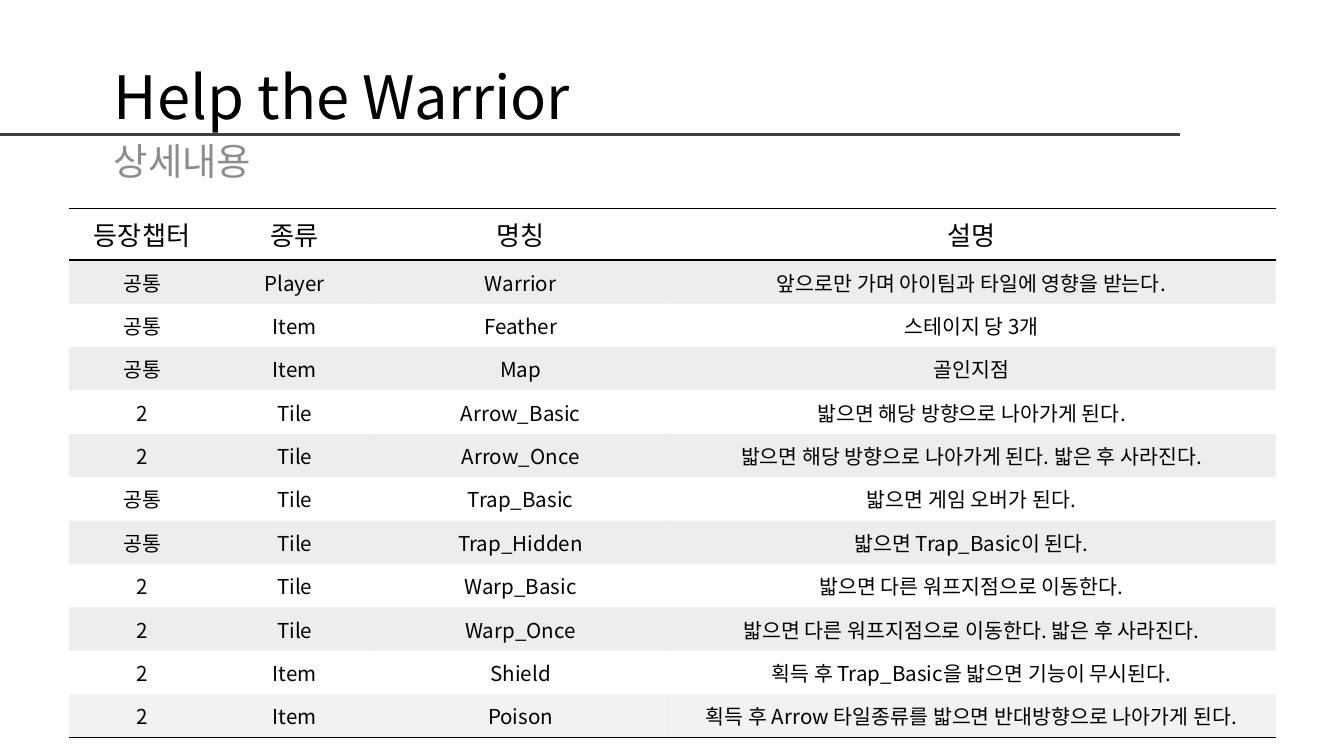
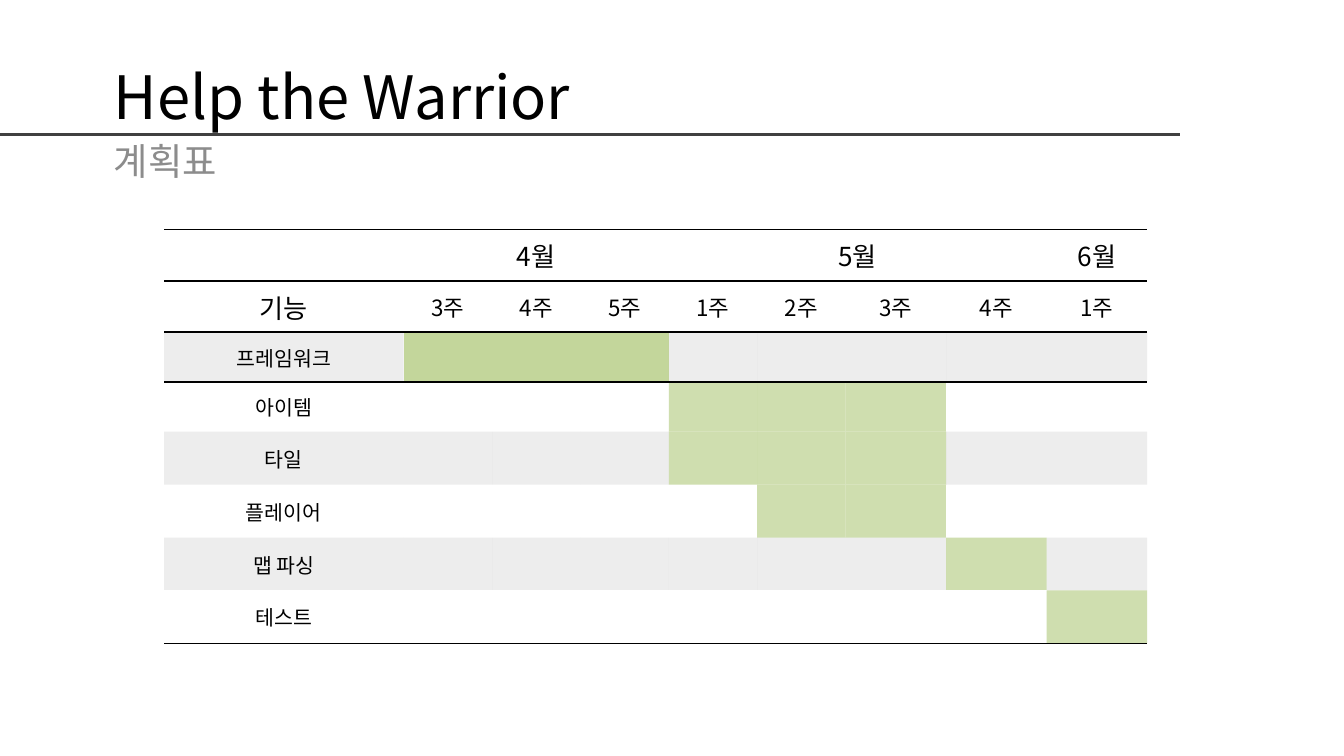
from dataclasses import dataclass
from itertools import accumulate

from lxml.etree import SubElement
from pptx import Presentation
from pptx.dml.color import RGBColor
from pptx.enum.shapes import MSO_CONNECTOR as Connector
from pptx.enum.text import MSO_ANCHOR as Anchor, PP_ALIGN as Align
from pptx.oxml.ns import qn
from pptx.util import Cm, Pt


@dataclass(frozen=True)
class Theme:
    """Colours, font and type sizes shared by the slides."""
    font: str = "Noto Sans CJK KR"
    ink: str = "000000"
    muted: str = "8C8C8C"
    rule: str = "404040"
    paper: str = "FFFFFF"
    band: str = "A6A6A6"
    last_band: str = "BFBFBF"
    bar: str = "C3D69B"
    band_alpha: int = 20
    bar_alpha: int = 80
    title_size: int = 32
    subtitle_size: int = 20
    head_size: int = 14
    week_size: int = 12
    body_size: int = 11
    rule_width: float = 1.5
    border_width: float = 1
    plain_table: str = "{2D5ABB26-0587-4C30-8999-92F81FD0307C}"


THEME = Theme()

DETAIL_HEAD = ("등장챕터", "종류", "명칭", "설명")
DETAILS = (
    ("공통", "Player", "Warrior", "앞으로만 가며 아이팀과 타일에 영향을 받는다."),
    ("공통", "Item", "Feather", "스테이지 당 3개"),
    ("공통", "Item", "Map", "골인지점"),
    ("2", "Tile", "Arrow_Basic", "밟으면 해당 방향으로 나아가게 된다."),
    ("2", "Tile", "Arrow_Once", "밟으면 해당 방향으로 나아가게 된다. 밟은 후 사라진다."),
    ("공통", "Tile", "Trap_Basic", "밟으면 게임 오버가 된다."),
    ("공통", "Tile", "Trap_Hidden", "밟으면 Trap_Basic이 된다."),
    ("2", "Tile", "Warp_Basic", "밟으면 다른 워프지점으로 이동한다."),
    ("2", "Tile", "Warp_Once", "밟으면 다른 워프지점으로 이동한다. 밟은 후 사라진다."),
    ("2", "Item", "Shield", "획득 후 Trap_Basic을 밟으면 기능이 무시된다."),
    ("2", "Item", "Poison", "획득 후 Arrow 타일종류를 밟으면 반대방향으로 나아가게 된다."),
)

MONTHS = (("4월", 3), ("5월", 4), ("6월", 1))
WEEKS = ("3주", "4주", "5주", "1주", "2주", "3주", "4주", "1주")
TASKS = (
    ("프레임워크", range(1, 4)),
    ("아이템", range(4, 7)),
    ("타일", range(4, 7)),
    ("플레이어", range(5, 7)),
    ("맵 파싱", range(7, 8)),
    ("테스트", range(8, 9)),
)


def style_paragraph(paragraph, size, color=THEME.ink, align=Align.LEFT):
    """Set font, colour and alignment for a whole paragraph."""
    paragraph.alignment = align
    paragraph.font.name = THEME.font
    paragraph.font.size = Pt(size)
    paragraph.font.color.rgb = RGBColor.from_string(color)
    defaults = paragraph._p.get_or_add_pPr().find(qn("a:defRPr"))
    SubElement(defaults, qn("a:ea")).set("typeface", THEME.font)
    if not paragraph.runs:
        paragraph._p.get_or_add_endParaRPr().set("sz", str(size * 100))


def add_label(slide, box, text, size, color, anchor):
    """Add a single wrapped line of text in a box."""
    frame = slide.shapes.add_textbox(*map(Cm, box)).text_frame
    frame.word_wrap = True
    frame.vertical_anchor = anchor
    frame.text = text
    style_paragraph(frame.paragraphs[0], size, color)


def add_heading(slide, box, subtitle):
    """Place title, rule and subtitle inside the heading box."""
    left, top, width, height = box
    add_label(slide, (left, top + 1.55, 8.2, height - 1.55), subtitle,
              THEME.subtitle_size, THEME.muted, Anchor.TOP)
    level = Cm(top + 1.6)
    rule = slide.shapes.add_connector(
        Connector.STRAIGHT, 0, level, Cm(left + width), level)
    rule.line.color.rgb = RGBColor.from_string(THEME.rule)
    rule.line.width = Pt(THEME.rule_width)
    SubElement(rule._element.spPr, qn("a:effectLst"))
    add_label(slide, (left, top, 12.8, 1.75), "Help the Warrior",
              THEME.title_size, THEME.ink, Anchor.MIDDLE)


def add_grid(slide, corner, widths, heights):
    """Add an unstyled table with the given column widths and row heights."""
    box = (*corner, sum(widths), sum(heights))
    table = slide.shapes.add_table(
        len(heights), len(widths), *map(Cm, box)).table
    table.first_row = table.horz_banding = False
    table._tbl.tblPr.find(qn("a:tableStyleId")).text = THEME.plain_table
    for column, width in zip(table.columns, widths):
        column.width = Cm(width)
    for row, height in zip(table.rows, heights):
        row.height = Cm(height)
    return table


def fill_cell(cell, text, size, color=THEME.paper, alpha=100):
    """Write centred text in a cell and fill it."""
    cell.text = text
    cell.vertical_anchor = Anchor.MIDDLE
    style_paragraph(cell.text_frame.paragraphs[0], size, align=Align.CENTER)
    cell.fill.solid()
    cell.fill.fore_color.rgb = RGBColor.from_string(color)
    if alpha < 100:
        solid = cell._tc.tcPr.find(qn("a:solidFill"))
        SubElement(solid[0], qn("a:alpha")).set("val", str(alpha * 1000))


def border_row(table, row, *sides):
    """Draw black lines along the given sides (T, B) of a row."""
    for cell in table.rows[row].cells:
        properties = cell._tc.get_or_add_tcPr()
        for position, side in enumerate(sides):
            line = SubElement(properties, qn(f"a:ln{side}"))
            line.set("w", str(Pt(THEME.border_width)))
            solid = SubElement(line, qn("a:solidFill"))
            SubElement(solid, qn("a:srgbClr")).set("val", THEME.ink)
            properties.insert(position, line)


def add_detail_table(slide, corner):
    """List every game object in a banded table."""
    table = add_grid(slide, corner, (2.77, 3, 5.54, 11.5),
                     (0.98, *[0.82] * len(DETAILS)))
    last = len(DETAILS)
    for row, texts in enumerate((DETAIL_HEAD, *DETAILS)):
        size = THEME.body_size if row else THEME.head_size
        color = THEME.last_band if row == last else THEME.band
        style = (color, THEME.band_alpha) if row % 2 else ()
        for column, text in enumerate(texts):
            fill_cell(table.cell(row, column), text, size, *style)
    border_row(table, 0, "T", "B")
    border_row(table, last, "B")


def add_schedule_table(slide, corner):
    """Show the weeks of each task as coloured cells."""
    table = add_grid(slide, corner, (4.53, *[1.67] * 5, *[1.9] * 3),
                     (0.97, 0.97, 0.94, 0.94, *[1] * 4))
    for cell in table.rows[0].cells:
        fill_cell(cell, "", THEME.head_size)
    starts = accumulate((span for _, span in MONTHS), initial=1)
    for (month, span), start in zip(MONTHS, starts):
        cell = table.cell(0, start)
        if span > 1:
            cell.merge(table.cell(0, start + span - 1))
        cell.text = month
        paragraph = cell.text_frame.paragraphs[0]
        style_paragraph(paragraph, THEME.head_size, align=Align.CENTER)
    fill_cell(table.cell(1, 0), "기능", THEME.head_size)
    for column, week in enumerate(WEEKS, 1):
        fill_cell(table.cell(1, column), week, THEME.week_size)
    for row, (task, active) in enumerate(TASKS, 2):
        bar_alpha = 100 if row == 2 else THEME.bar_alpha
        band = (THEME.paper, 100) if row % 2 else (THEME.band, THEME.band_alpha)
        for column in range(len(WEEKS) + 1):
            style = (THEME.bar, bar_alpha) if column in active else band
            fill_cell(table.cell(row, column), "" if column else task,
                      THEME.body_size, *style)
    border_row(table, 0, "T", "B")
    border_row(table, 1, "B")
    border_row(table, 2, "T", "B")
    border_row(table, len(TASKS) + 1, "B")


def build():
    """Build both slides and save the presentation."""
    presentation = Presentation()
    presentation.slide_width = Cm(25.4)
    presentation.slide_height = Cm(14.29)
    pages = (
        ("상세내용", add_detail_table, (1.3, 3.94)),
        ("계획표", add_schedule_table, (3.1, 4.34)),
    )
    for subtitle, add_table, corner in pages:
        slide = presentation.slides.add_slide(presentation.slide_layouts[6])
        add_heading(slide, (1.9, 0.94, 20.4, 3), subtitle)
        add_table(slide, corner)
    presentation.save("out.pptx")


build()
